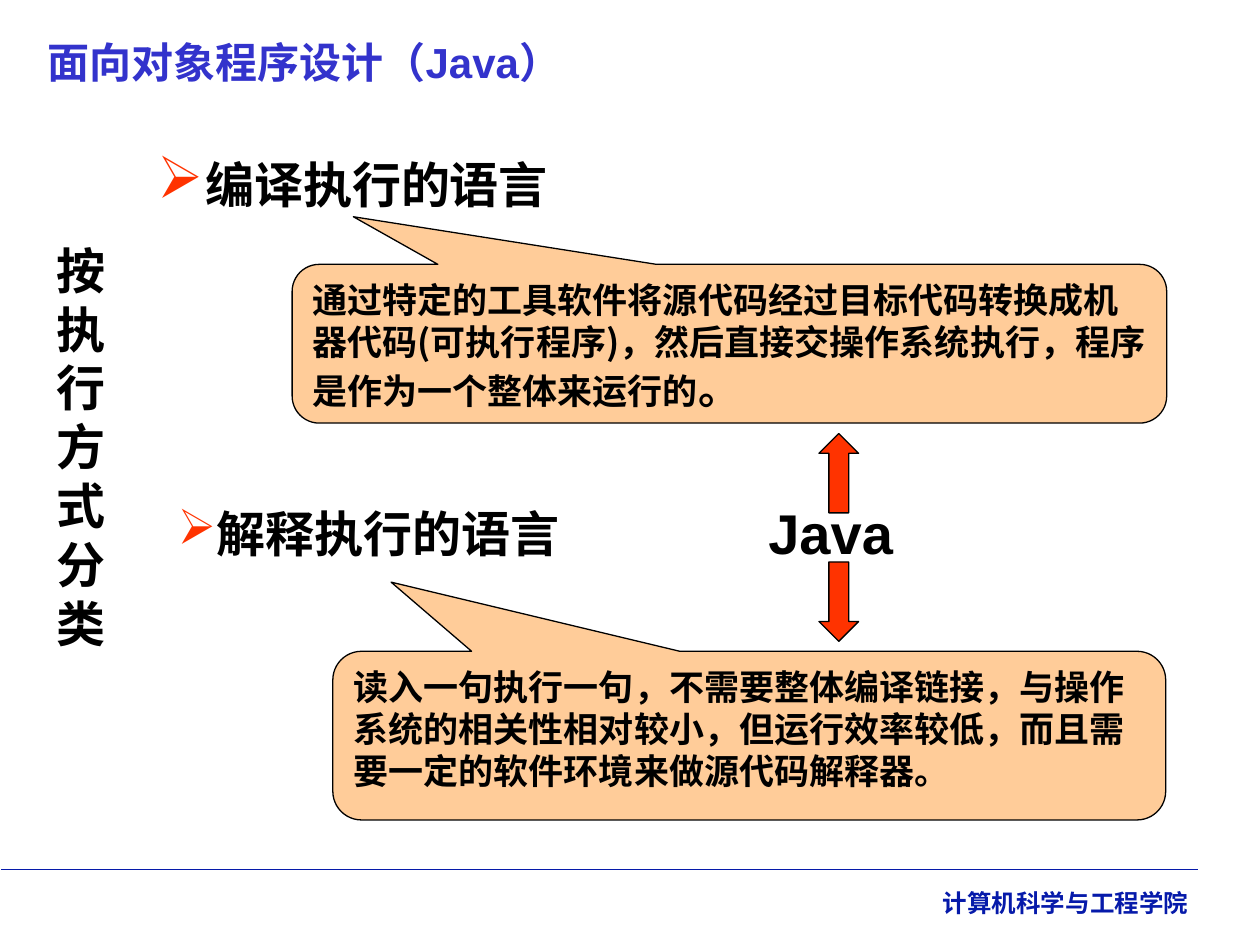
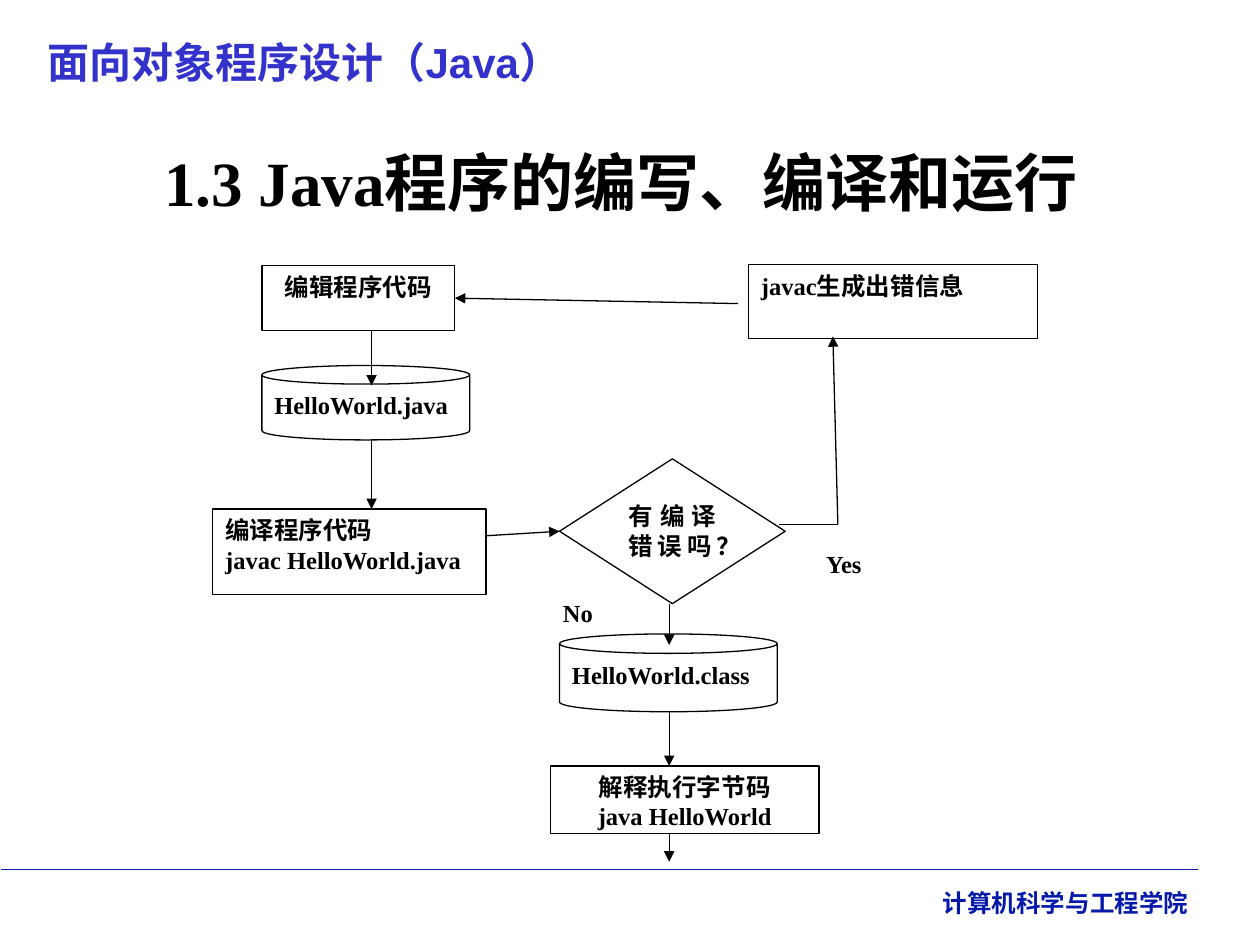
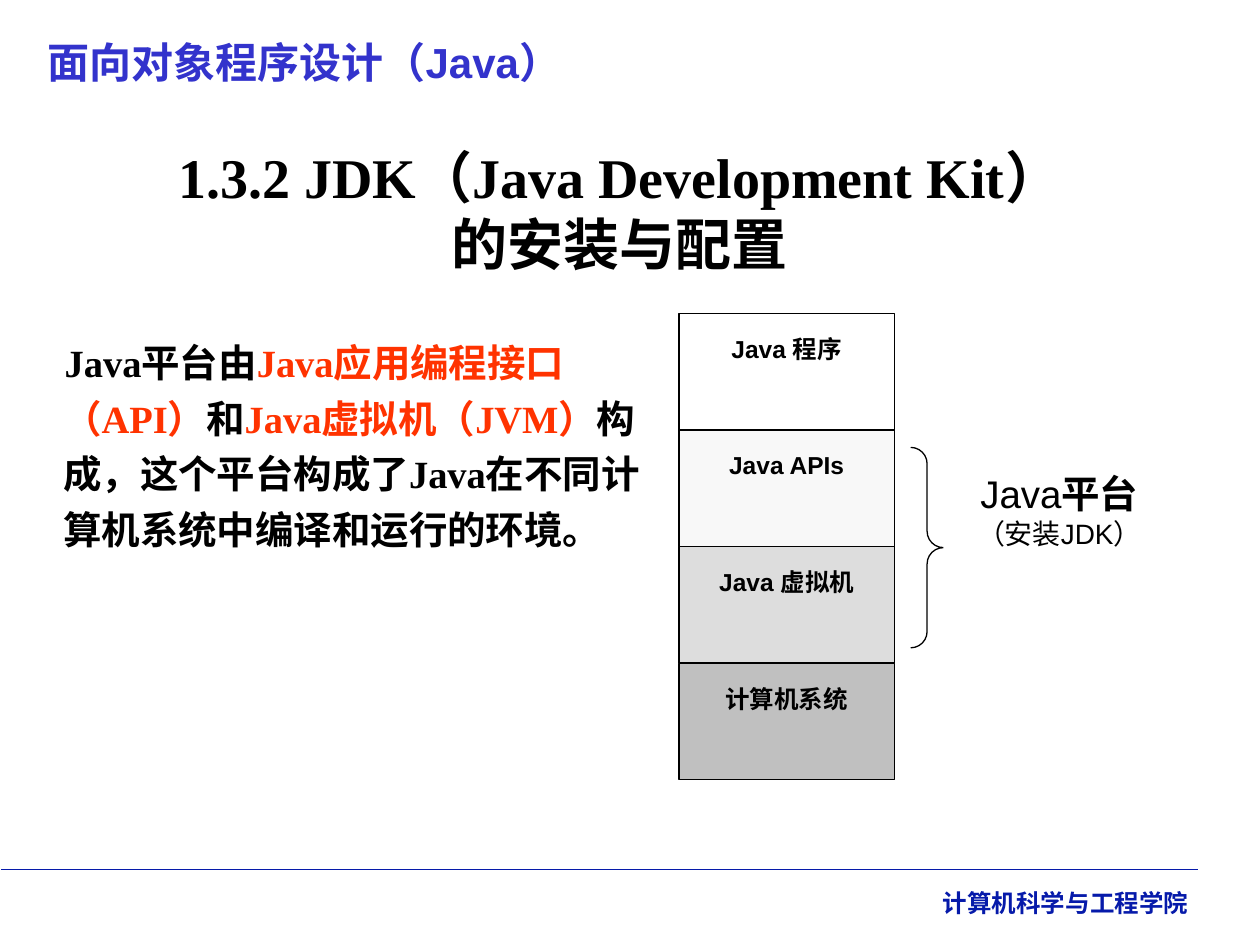
import pptx
import pptx.dml.color
import pptx.enum.shapes
import pptx.enum.text
import pptx.oxml
import pptx.oxml.ns
import pptx.util
from lxml import etree

Cm = pptx.util.Cm
Pt = pptx.util.Pt
qn = pptx.oxml.ns.qn
SHAPE = pptx.enum.shapes.MSO_SHAPE
ALIGN = pptx.enum.text.PP_ALIGN
ANCHOR = pptx.enum.text.MSO_ANCHOR
AUTO_SIZE = pptx.enum.text.MSO_AUTO_SIZE

BLACK, WHITE = "000000", "FFFFFF"
NAVY, BLUE, RED, PEACH = "061AAA", "3333CC", "FF3300", "FFCC99"
SERIF, SANS, CHINESE = "Times New Roman", "Arial", "Noto Sans CJK SC"


def rgb(value):
    """Turn a hex string into a colour."""
    return pptx.dml.color.RGBColor.from_string(value)


def add_run(paragraph, text, font=SERIF, size=14, color=BLACK, bold=True):
    """Add formatted text, with a line break at each newline."""
    for index, line in enumerate(text.split("\n")):
        if index:
            paragraph.add_line_break()
        run = paragraph.add_run()
        run.text = line
        run.font.name = font
        run.font.size = Pt(size)
        run.font.bold = bold
        run.font.color.rgb = rgb(color)
        east_asian = etree.SubElement(run._r.get_or_add_rPr(), qn("a:ea"))
        east_asian.set("typeface", CHINESE)


def set_bullet(paragraph, bullet, bullet_size, margin, indent):
    """Set the bullet of a paragraph, or none, and its indents."""
    properties = paragraph._p.get_or_add_pPr()
    properties.set("marL", str(Cm(margin)))
    properties.set("indent", str(Cm(indent)))
    if not bullet:
        etree.SubElement(properties, qn("a:buNone"))
        return
    color = etree.SubElement(properties, qn("a:buClr"))
    etree.SubElement(color, qn("a:srgbClr")).set("val", RED)
    etree.SubElement(properties, qn("a:buSzPct")).set("val", str(bullet_size * 1000))
    etree.SubElement(properties, qn("a:buChar")).set("char", bullet)


def write(shape, *paragraphs, align=ALIGN.LEFT, anchor=ANCHOR.TOP, wrap=True, spacing=None,
          bullet=None, bullet_size=100, margin=0, indent=0, **run_format):
    """Fill a shape with paragraphs, each a string or a list of (text, format) runs."""
    frame = shape.text_frame
    frame.auto_size = AUTO_SIZE.NONE
    frame.word_wrap = wrap
    frame.vertical_anchor = anchor
    for index, content in enumerate(paragraphs):
        paragraph = frame.add_paragraph() if index else frame.paragraphs[0]
        paragraph.alignment = align
        set_bullet(paragraph, bullet, bullet_size, margin, indent)
        paragraph.space_before = Pt(0)
        if spacing:
            paragraph.line_spacing = spacing
        runs = [(content, {})] if isinstance(content, str) else content
        for text, changes in runs:
            add_run(paragraph, text, **{**run_format, **changes})


def add_text(slide, box, text, **text_format):
    """Add a text box."""
    textbox = slide.shapes.add_textbox(*map(Cm, box))
    write(textbox, text, **text_format)


def fill_placeholder(placeholder, box, content, **text_format):
    """Move a placeholder and fill it."""
    placeholder.left, placeholder.top, placeholder.width, placeholder.height = map(Cm, box)
    write(placeholder, content, **text_format)


def add_box(slide, kind, box, *paragraphs, fill=WHITE, line=BLACK, adjustments=(), **text_format):
    """Add a preset shape with optional text."""
    shape = slide.shapes.add_shape(kind, *map(Cm, box))
    shape.shadow.inherit = False
    for index, value in enumerate(adjustments):
        shape.adjustments[index] = value
    if fill:
        shape.fill.solid()
        shape.fill.fore_color.rgb = rgb(fill)
    else:
        shape.fill.background()
    if line:
        shape.line.color.rgb = rgb(line)
        shape.line.width = Pt(0.75)
    else:
        shape.line.fill.background()
    write(shape, *paragraphs, **text_format)
    return shape


def add_line(slide, start, end, color=BLACK, width=0.75, arrow=True, target=None):
    """Add a straight line, optionally joined to a (shape, site) target."""
    connector = slide.shapes.add_connector(
        pptx.enum.shapes.MSO_CONNECTOR.STRAIGHT, *map(Cm, (*start, *end)))
    connector.line.color.rgb = rgb(color)
    connector.line.width = Pt(width)
    properties = connector._element.spPr
    if arrow:
        etree.SubElement(properties.find(qn("a:ln")), qn("a:tailEnd")).set("type", "triangle")
    etree.SubElement(properties, qn("a:effectLst"))
    if target:
        connector.end_connect(*target)


def add_slide(presentation, layout_index):
    """Add a slide with the course header and the department footer."""
    slide = presentation.slides.add_slide(presentation.slide_layouts[layout_index])
    add_line(slide, (0.03, 17.53), (24.16, 17.53), color=NAVY, width=1, arrow=False)
    add_text(slide, (0.79, 17.78, 23.42, 0.86), "计算机科学与工程学院",
             font=SANS, color=NAVY, align=ALIGN.RIGHT)
    add_text(slide, (0.71, 0.61, 23.42, 1.3), "面向对象程序设计（Java）",
             font=SANS, size=24, color=BLUE)
    return slide


def build_execution_slide(presentation):
    """Compare compiled and interpreted languages."""
    slide = add_slide(presentation, 6)
    callout = {"fill": PEACH, "font": CHINESE, "size": 20}
    add_text(slide, (2.92, 2.64, 17.78, 1.7), "编译执行的语言", size=28, spacing=1.3,
             bullet="➢", bullet_size=120, margin=0.97, indent=-0.97)
    add_box(slide, SHAPE.ROUNDED_RECTANGULAR_CALLOUT, (5.89, 5.33, 17.63, 3.2),
            [("通过特定的工具软件将源代码经过目标代码转换成机器代码(可执行程序)，"
              "然后直接交操作系统执行，程序是作为一个整体来运行的", {}),
             ("。", {"font": SERIF, "size": 24})],
            adjustments=(-0.43, -0.8, 0.17), **callout)
    add_text(slide, (3.33, 10.03, 10.77, 1.7), "解释执行的语言", size=28, bullet="➢")
    add_box(slide, SHAPE.ROUNDED_RECTANGULAR_CALLOUT, (6.71, 13.13, 16.79, 3.4),
            "读入一句执行一句，不需要整体编译链接，与操作系统的相关性相对较小，"
            "但运行效率较低，而且需要一定的软件环境来做源代码解释器。",
            adjustments=(-0.43, -0.91, 0.17), **callout)
    add_text(slide, (0.89, 4.72, 1.8, 8.64), "按执行方式分类", size=28)
    add_text(slide, (15.24, 9.93, 3.02, 1.63), "Java", font=SANS, size=32, wrap=False)
    for kind, top in ((SHAPE.UP_ARROW, 8.74), (SHAPE.DOWN_ARROW, 11.33)):
        add_box(slide, kind, (16.51, top, 0.8, 1.6), fill=RED)


def build_flow_slide(presentation):
    """Draw the edit, compile and run flow chart."""
    slide = add_slide(presentation, 5)
    fill_placeholder(slide.shapes.title, (1.09, 2.57, 22.86, 2.16),
                     "1.3 Java程序的编写、编译和运行",
                     size=36, align=ALIGN.CENTER, anchor=ANCHOR.MIDDLE)
    justified, centered = {"align": ALIGN.JUSTIFY}, {"align": ALIGN.CENTER}
    edit = add_box(slide, SHAPE.RECTANGLE, (5.28, 5.36, 3.89, 1.3), "编辑程序代码", **centered)
    add_box(slide, SHAPE.CAN, (5.28, 7.37, 4.19, 1.5), "HelloWorld.java", **justified)
    add_box(slide, SHAPE.RECTANGLE, (15.09, 5.33, 5.82, 1.5), "javac生成出错信息", **justified)
    add_box(slide, SHAPE.RECTANGLE, (15.93, 10.95, 2.16, 1.02), "Yes", line=None, **centered)
    add_box(slide, SHAPE.RECTANGLE, (4.29, 10.26, 5.51, 1.73),
            "编译程序代码", "javac HelloWorld.java", **justified)
    add_box(slide, SHAPE.CAN, (11.28, 12.78, 4.39, 1.57), "HelloWorld.class", **justified)
    add_box(slide, SHAPE.RECTANGLE, (11.1, 15.44, 5.41, 1.37),
            "解释执行字节码", "java HelloWorld", **centered)
    decision = add_box(slide, SHAPE.FLOWCHART_DECISION, (11.28, 9.25, 4.55, 2.92),
                       "有编译错误吗？", **justified)
    add_line(slide, (9.8, 10.8), (11.28, 10.71), target=(decision, 1))
    add_line(slide, (15.93, 10.95), (15.93, 10.95))
    add_line(slide, (15.7, 10.57), (16.89, 10.57), arrow=False)
    add_line(slide, (16.89, 10.57), (16.79, 6.78))
    add_line(slide, (14.88, 6.12), (9.17, 6.01), target=(edit, 3))
    for x, top, bottom in ((7.49, 6.68, 7.77), (7.49, 8.86, 10.26), (13.49, 14.35, 15.44),
                           (13.49, 12.17, 13), (13.49, 16.81, 17.37)):
        add_line(slide, (x, top), (x, bottom))
    add_box(slide, SHAPE.RECTANGLE, (11.1, 11.94, 1.55, 0.81), "No", line=None, **justified)


def build_platform_slide(presentation):
    """Show the layers of the Java platform."""
    slide = add_slide(presentation, 1)
    fill_placeholder(slide.shapes.title, (1.91, 2.72, 21.16, 3),
                     "1.3.2 JDK（Java Development Kit）\n的安装与配置",
                     size=32, align=ALIGN.CENTER, anchor=ANCHOR.MIDDLE)
    highlight = {"color": RED}
    fill_placeholder(slide.placeholders[1], (0.51, 6.53, 13.21, 9.07),
                     [("Java平台由", {}), ("Java应用编程接口（API）", highlight), ("和", {}),
                      ("Java虚拟机（JVM）", highlight),
                      ("构成，这个平台构成了Java在不同计算机系统中编译和运行的环境。", {})],
                     size=22, spacing=1.2, margin=0.51, indent=0.03)
    chinese = {"font": CHINESE}
    layers = (([("Java ", {}), ("程序", chinese)], WHITE),
              ("Java APIs", "F8F8F8"),
              ([("Java ", {}), ("虚拟机", chinese)], "DDDDDD"),
              ([("计算机系统", chinese)], "C0C0C0"))
    layer_height = 2.35
    for index, (content, fill) in enumerate(layers):
        layer = add_box(slide, SHAPE.RECTANGLE,
                        (13.69, 6.32 + index * layer_height, 4.34, layer_height),
                        content, fill=fill, font=SANS, align=ALIGN.CENTER)
        layer.text_frame.margin_top = Cm(0.41)
    add_box(slide, SHAPE.RIGHT_BRACE, (18.36, 9.02, 0.66, 4.04), fill=None, adjustments=(0.5, 0.5))
    add_box(slide, SHAPE.RECTANGLE, (19.02, 9.35, 4.67, 3.35),
            [("Java", {}), ("平台", {"font": "Montserrat", "bold": True})],
            [("（安装JDK）", {"size": 16})],
            line=None, font=SANS, size=22, bold=False, align=ALIGN.CENTER)


def main():
    """Build and save the presentation."""
    presentation = pptx.Presentation()
    presentation.slide_width, presentation.slide_height = Cm(25.4), Cm(19.05)
    build_execution_slide(presentation)
    build_flow_slide(presentation)
    build_platform_slide(presentation)
    presentation.save("out.pptx")


if __name__ == "__main__":
    main()
